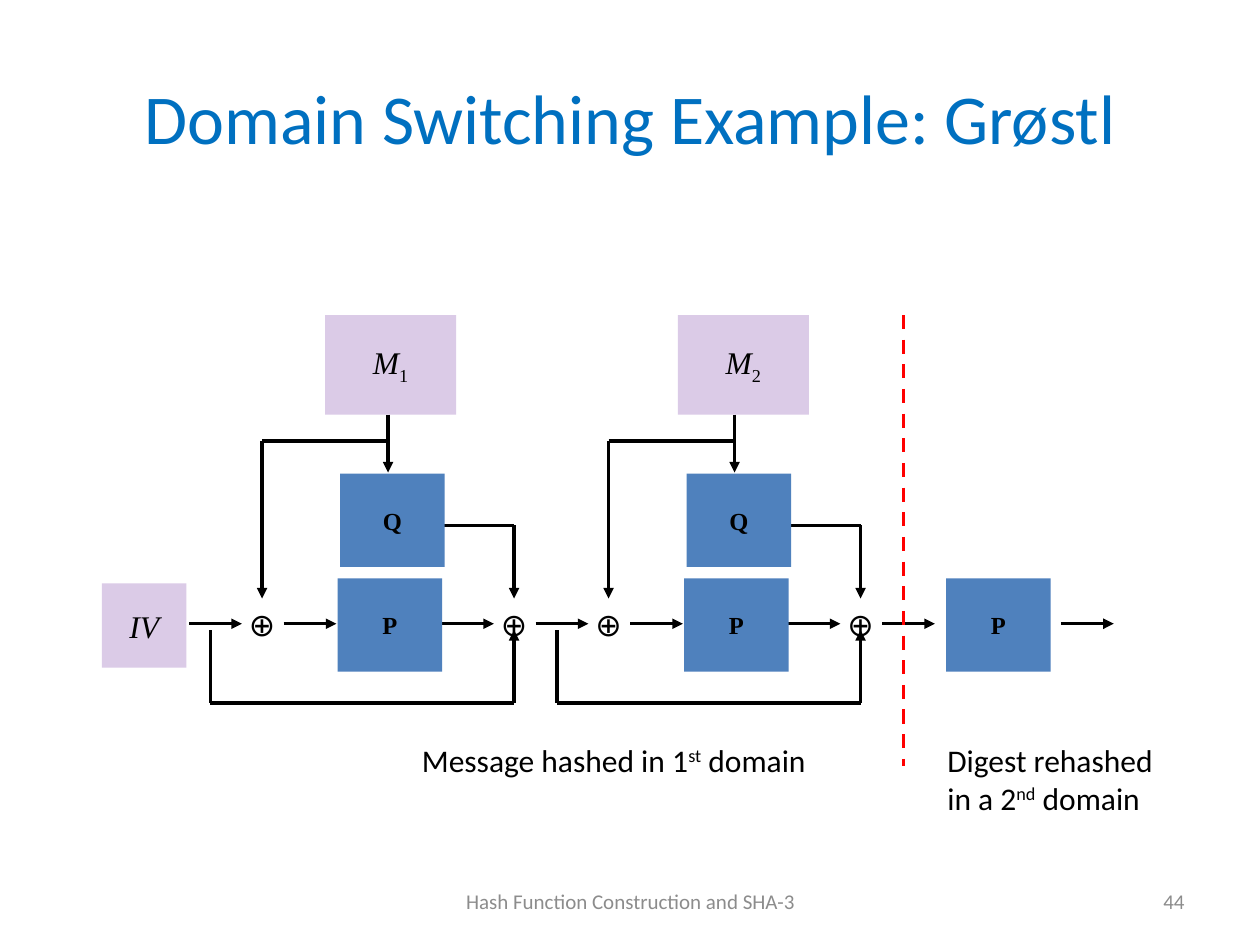
import pptx
import pptx.util
import pptx.dml.color
import pptx.enum.dml
import pptx.enum.shapes
import pptx.enum.text
import pptx.oxml.ns
import lxml.etree

Inches = pptx.util.Inches
ALIGN = pptx.enum.text.PP_ALIGN
ANCHOR = pptx.enum.text.MSO_ANCHOR
rgb = pptx.dml.color.RGBColor.from_string
qn = pptx.oxml.ns.qn


def write(tf, runs, size, font="Calibri", color="000000", align=ALIGN.CENTER, bold=False, italic=False):
    p = tf.paragraphs[0]
    p.alignment = align
    for text, baseline in runs:
        r = p.add_run()
        r.text = text
        r.font.size = pptx.util.Pt(size)
        r.font.name = font
        r.font.color.rgb = rgb(color)
        r.font.bold = bold
        r.font.italic = italic and not baseline
        if baseline:
            r.font._element.set("baseline", str(baseline * 1000))


def line(x1, y1, x2, y2, arrow=False, color="000000"):
    c = s.shapes.add_connector(
        pptx.enum.shapes.MSO_CONNECTOR.STRAIGHT, Inches(x1), Inches(y1), Inches(x2), Inches(y2))
    c.line.color.rgb = rgb(color)
    c.line.width = pptx.util.Pt(2)
    lxml.etree.SubElement(c._element.spPr, qn("a:effectLst"))
    if arrow:
        lxml.etree.SubElement(c.line._get_or_add_ln(), qn("a:tailEnd"), type="triangle")
    return c


prs = pptx.Presentation()
prs.slide_width, prs.slide_height = Inches(10), Inches(7.5)
s = prs.slides.add_slide(prs.slide_layouts[5])

title = s.shapes.title
title.left, title.top, title.width, title.height = Inches(0.5), Inches(0.3), Inches(9), Inches(1.25)
title.text_frame.vertical_anchor = ANCHOR.MIDDLE
write(title.text_frame, [("Domain Switching Example: Grøstl", 0)], 40, color="0070C0")

flow_y = 4.95
stage_step = 2.75
boxes = [
    (0.81, 4.63, 0.67, 0.67, [("IV", 0)], "message"),
    (7.51, 4.59, 0.83, 0.74, [("P", 0)], "permutation"),
]
texts = [
    (3.42, 6.95, 3.17, 0.4, [("Hash Function Construction and SHA-3", 0)], 12, "8C8C8C", ALIGN.CENTER, ANCHOR.MIDDLE),
    (7.17, 6.95, 2.33, 0.4, [("44", 0)], 12, "8C8C8C", ALIGN.RIGHT, ANCHOR.MIDDLE),
    (3.25, 5.83, 3.33, 0.4, [("Message hashed in 1", 0), ("st", 30), (" domain", 0)],
     18, "000000", ALIGN.LEFT, ANCHOR.TOP),
    (7.42, 5.83, 1.92, 0.71, [("Digest rehashed in a 2", 0), ("nd", 30), (" domain", 0)],
     18, "000000", ALIGN.LEFT, ANCHOR.TOP),
]

for i, message_x in enumerate((2.58, 5.38)):
    dx = i * stage_step
    xor_in, center, xor_out = 2.08 + dx, 3.08 + dx, 4.08 + dx
    feed = 1.67 + dx

    line(center, 3.29, center, 3.75, arrow=True)
    line(xor_in, 3.5, center, 3.5)
    line(xor_in, 3.5, xor_in, 4.75, arrow=True)
    line(center, 4.17, xor_out, 4.17)
    line(xor_out, 4.17, xor_out, 4.75, arrow=True)
    line(feed, 5, feed, 5.58)
    line(feed, 5.58, xor_out, 5.58)
    line(xor_out, 5.58, xor_out, 5, arrow=True)
    for x in (1.5, 2.25, 3.5):
        line(x + dx, flow_y, x + dx + 0.42, flow_y, arrow=True)

    boxes += [
        (message_x, 2.5, 1.04, 0.79, [("M", 0), (str(i + 1), -25)], "message"),
        (2.68 + dx, 4.59, 0.83, 0.74, [("P", 0)], "permutation"),
        (2.7 + dx, 3.76, 0.83, 0.74, [("Q", 0)], "permutation"),
    ]
    for x in (xor_in, xor_out):
        texts.append((x - 0.25, 4.75, 0.5, 0.4, [("⊕", 0)], 18, "000000", ALIGN.CENTER, ANCHOR.TOP))

for x in (7, 8.42):
    line(x, flow_y, x + 0.42, flow_y, arrow=True)

divider = line(7.17, 2.5, 7.17, 6.08, color="FF0000")
divider.line.dash_style = pptx.enum.dml.MSO_LINE.DASH

for x, y, w, h, runs, kind in boxes:
    sp = s.shapes.add_shape(
        pptx.enum.shapes.MSO_SHAPE.RECTANGLE, Inches(x), Inches(y), Inches(w), Inches(h))
    sp.shadow.inherit = False
    sp.line.fill.background()
    sp.fill.solid()
    tf = sp.text_frame
    tf.vertical_anchor = ANCHOR.MIDDLE
    if kind == "message":
        sp.fill.fore_color.rgb = rgb("7030A0")
        clr = sp._element.spPr.find(qn("a:solidFill")).find(qn("a:srgbClr"))
        lxml.etree.SubElement(clr, qn("a:alpha"), val="25000")
        write(tf, runs, 18, "Times New Roman", italic=True)
    else:
        sp.fill.fore_color.rgb = rgb("4F81BD")
        write(tf, runs, 14, "Times New Roman", bold=True)

for x, y, w, h, runs, size, color, align, anchor in texts:
    tf = s.shapes.add_textbox(Inches(x), Inches(y), Inches(w), Inches(h)).text_frame
    tf.word_wrap = True
    tf.vertical_anchor = anchor
    write(tf, runs, size, color=color, align=align)

prs.save("out.pptx")
